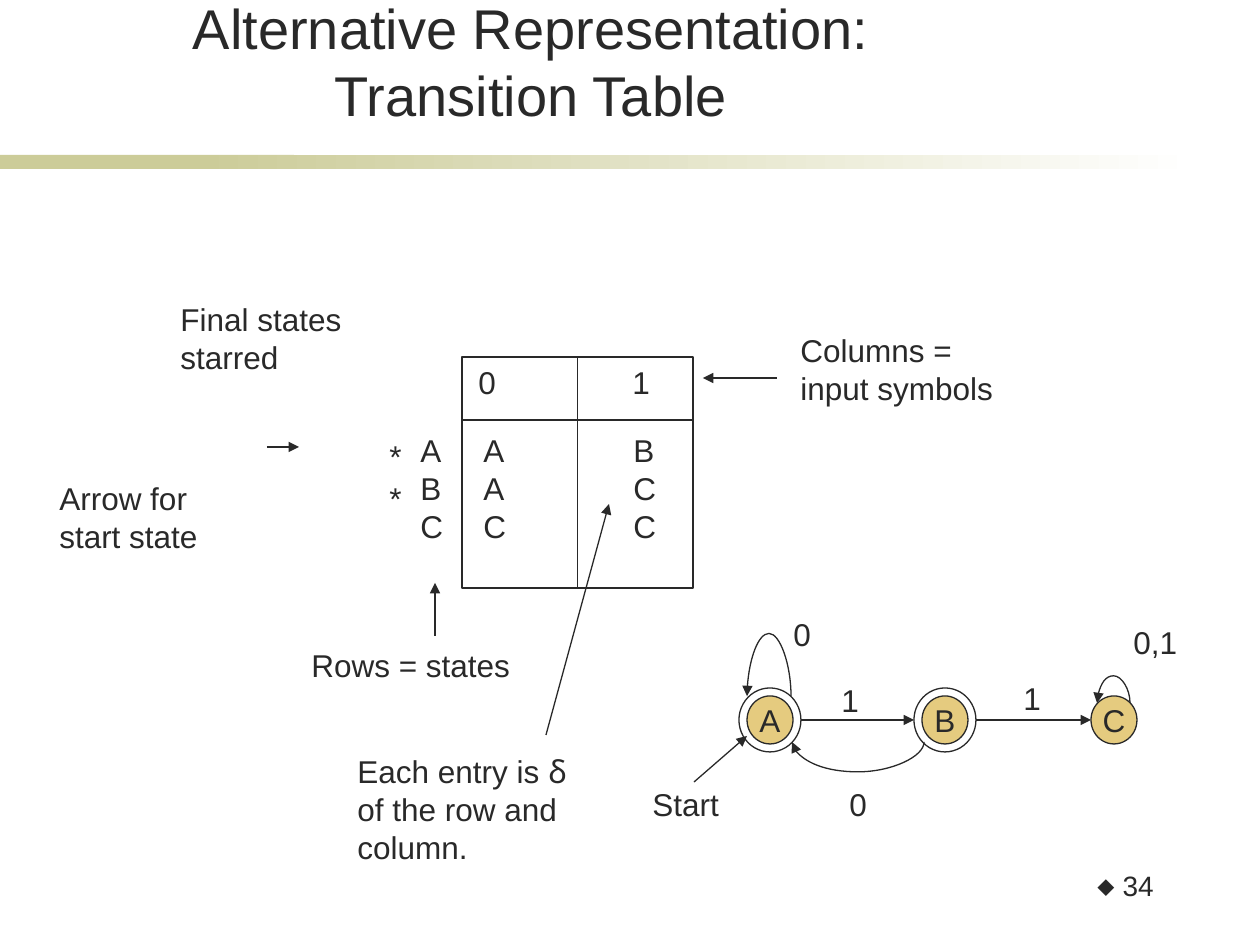
import pptx
import pptx.util
import pptx.dml.color
import pptx.enum.shapes
import pptx.enum.text
import pptx.oxml.ns
from dataclasses import dataclass
from lxml import etree

PX = 914400 / 126
HAIRLINE = 1191  # EMU across a loop whose two ends lie level


@dataclass(frozen=True)
class Theme:
    ink: str = "292929"
    band: str = "CCCC99"
    paper: str = "FFFFFF"
    state: str = "CC9900"
    font: str = "Arial"
    symbol_font: str = "Noto Sans Mono"
    title: int = 32
    body: int = 18
    page: int = 16
    line: float = 0.75


THEME = Theme()
SHAPES = pptx.enum.shapes.MSO_SHAPE
ALIGN = pptx.enum.text.PP_ALIGN
ANCHOR = pptx.enum.text.MSO_ANCHOR

# Content: boxes are left, top, width, height in px
TITLE = "Alternative Representation: Transition Table"
SYMBOLS = {"0": 466, "1": 620}
ROWS = ["A\tA\tB", "B\tA\tC", "C\tC\tC"]
GRID = (462, 357, 231, 231)
HEADER_HEIGHT = 63
NOTES = [
    ((299, 640, 291, 63), ["Rows = states"]),
    ((788, 325, 281, 113), ["Columns =", "input symbols"]),
    ((168, 294, 234, 113), ["Final states", "starred"]),
    ((47, 473, 213, 113), ["Arrow for", "start state"]),
    ((345, 746, 302, 164), [[("Each entry is ", THEME.font), ("δ", THEME.symbol_font)],
                            "of the row and", "column."]),
    ((640, 779, 113, 63), ["Start"]),
    ((1121, 617, 84, 63), ["0,1"]),
]
MARKS = [("*", 377, 431), ("*", 377, 473), ("1", 829, 675), ("0", 837, 779),
         ("1", 1011, 673), ("0", 781, 609)]
ARROWS = [(435, 636, 435, 583), (777, 378, 703, 378), (267, 447, 299, 447),
          (546, 735, 609, 504), (694, 782, 747, 736)]
LOOPS = [(791, 747, 696, -69), (924, 792, 742, 33), (1130, 1097, 703, -30)]  # from x, to x, y, depth
STATES = {"A": (770, True), "B": (945, True), "C": (1114, False)}  # centre x, final
STATE_Y = 720
INNER, OUTER = (46, 48), (62, 64)


def emu(px):
    return pptx.util.Emu(round(px * PX))


def rgb(value):
    return pptx.dml.color.RGBColor.from_string(value)


def child(parent, tag, **attributes):
    return etree.SubElement(parent, pptx.oxml.ns.qn(tag), attributes)


def write(frame, lines, size=THEME.body, align=ALIGN.LEFT, anchor=ANCHOR.TOP, wrap=True):
    frame.word_wrap = wrap
    frame.vertical_anchor = anchor
    for index, line in enumerate(lines):
        paragraph = frame.paragraphs[0] if index == 0 else frame.add_paragraph()
        paragraph.alignment = align
        for text, font in [(line, THEME.font)] if isinstance(line, str) else line:
            run = paragraph.add_run()
            run.text = text
            run.font.name = font
            run.font.size = pptx.util.Pt(size)
            run.font.color.rgb = rgb(THEME.ink)
    return frame


def add_text(slide, box, lines, **style):
    return write(slide.shapes.add_textbox(*map(emu, box)).text_frame, lines, **style)


def add_shape(slide, kind, box, fill=None, line=THEME.ink):
    shape = slide.shapes.add_shape(kind, *map(emu, box))
    shape.shadow.inherit = False
    if fill:
        shape.fill.solid()
        shape.fill.fore_color.rgb = rgb(fill)
    else:
        shape.fill.background()
    if line:
        shape.line.color.rgb = rgb(line)
        shape.line.width = pptx.util.Pt(THEME.line)
    else:
        shape.line.fill.background()
    return shape


def add_line(slide, points, arrow=False, kind=pptx.enum.shapes.MSO_CONNECTOR.STRAIGHT):
    connector = slide.shapes.add_connector(kind, *map(emu, points))
    connector.line.color.rgb = rgb(THEME.ink)
    connector.line.width = pptx.util.Pt(THEME.line)
    if arrow:
        child(connector.line._get_or_add_ln(), "a:tailEnd", type="triangle")
    child(connector._element.spPr, "a:effectLst")
    return connector


def add_loop(slide, start, end, y, depth):
    """Curve from right to left, bulging down by depth (up when negative)."""
    half = (start - end) / 2
    middle = end + half
    loop = add_line(slide, (middle, y - half, middle, y + half), arrow=True,
                    kind=pptx.enum.shapes.MSO_CONNECTOR.CURVE)
    loop.width = pptx.util.Emu(HAIRLINE)
    transform = loop._element.spPr.find(pptx.oxml.ns.qn("a:xfrm"))
    transform.set("rot", str((90 if depth > 0 else 270) * 60000))
    if depth < 0:
        transform.set("flipH", "1")
        transform.set("flipV", "1")
    geometry = loop._element.spPr.find(pptx.oxml.ns.qn("a:prstGeom"))
    for old in list(geometry):
        geometry.remove(old)
    # The bulge is measured in multiples of the tiny width
    bulge = round(depth * PX / HAIRLINE * 100000)
    child(child(geometry, "a:avLst"), "a:gd", name="adj1", fmla=f"val {bulge}")


def add_ellipse(slide, x, size, **style):
    width, height = size
    box = (x - width / 2, STATE_Y - height / 2, width, height)
    return add_shape(slide, SHAPES.OVAL, box, **style)


def add_frame(slide):
    # Band under the title
    add_shape(slide, SHAPES.RECTANGLE, (0, 155, 294, 14), THEME.band, None)
    fade = add_shape(slide, SHAPES.RECTANGLE, (199, 155, 998, 14), THEME.band, None)
    fade.fill.gradient()
    fade.fill.gradient_angle = 0
    for stop, color, position in zip(fade.fill.gradient_stops, (THEME.band, THEME.paper), (0, 1)):
        stop.color.rgb = rgb(color)
        stop.position = position
    # Page number with its bullet
    page = add_text(slide, (1037, 866, 129, 63), ["34"], size=THEME.page, align=ALIGN.RIGHT)
    page.paragraphs[0].line_spacing = 0.9
    page.paragraphs[0].space_before = pptx.util.Pt(3)
    properties = page.paragraphs[0]._p.get_or_add_pPr()
    properties.set("marL", str(emu(29)))
    properties.set("indent", str(-emu(29)))
    child(child(properties, "a:buClr"), "a:srgbClr", val=THEME.ink)
    child(properties, "a:buSzPct", val="100000")
    child(properties, "a:buFont", typeface=THEME.symbol_font)
    child(properties, "a:buChar", char="◆")
    add_text(slide, (144, 55, 774, 79), [TITLE], size=THEME.title,
             align=ALIGN.CENTER, anchor=ANCHOR.BOTTOM)


def add_transition_table(slide):
    left, top, width, height = GRID
    add_shape(slide, SHAPES.RECTANGLE, GRID)
    add_line(slide, (left, top + HEADER_HEIGHT, left + width, top + HEADER_HEIGHT))
    add_line(slide, (left + width / 2, top, left + width / 2, top + height))
    for symbol, x in SYMBOLS.items():
        add_text(slide, (x, top, 48, HEADER_HEIGHT), [symbol])
    body = add_text(slide, (408, 425, 285, 127), ROWS)
    for paragraph in body.paragraphs:
        stops = child(paragraph._p.get_or_add_pPr(), "a:tabLst")
        for position in (63, 213):
            child(stops, "a:tab", pos=str(emu(position)), algn="l")


def add_automaton(slide):
    for loop in LOOPS:
        add_loop(slide, *loop)
    for name, (x, final) in STATES.items():
        state = add_ellipse(slide, x, INNER, fill=THEME.state)
        color = state._element.spPr.find(".//" + pptx.oxml.ns.qn("a:srgbClr"))
        child(color, "a:alpha", val="50000")
        write(state.text_frame, [name], align=ALIGN.CENTER, anchor=ANCHOR.MIDDLE, wrap=False)
        if final:
            add_ellipse(slide, x, OUTER)
    # Steps along the chain run from rim to rim
    rims = [(x, (OUTER if final else INNER)[0] / 2) for x, final in STATES.values()]
    for (x1, radius1), (x2, radius2) in zip(rims, rims[1:]):
        add_line(slide, (x1 + radius1, STATE_Y, x2 - radius2, STATE_Y), arrow=True)


def main():
    presentation = pptx.Presentation()
    presentation.slide_width, presentation.slide_height = emu(1260), emu(945)
    slide = presentation.slides.add_slide(presentation.slide_layouts[6])
    add_frame(slide)
    add_transition_table(slide)
    add_automaton(slide)
    # Labels and pointers
    for box, lines in NOTES:
        add_text(slide, box, lines)
    for mark, x, y in MARKS:
        add_text(slide, (x, y, 48, 63), [mark])
    for points in ARROWS:
        add_line(slide, points, arrow=True)
    presentation.save("out.pptx")


if __name__ == "__main__":
    main()
